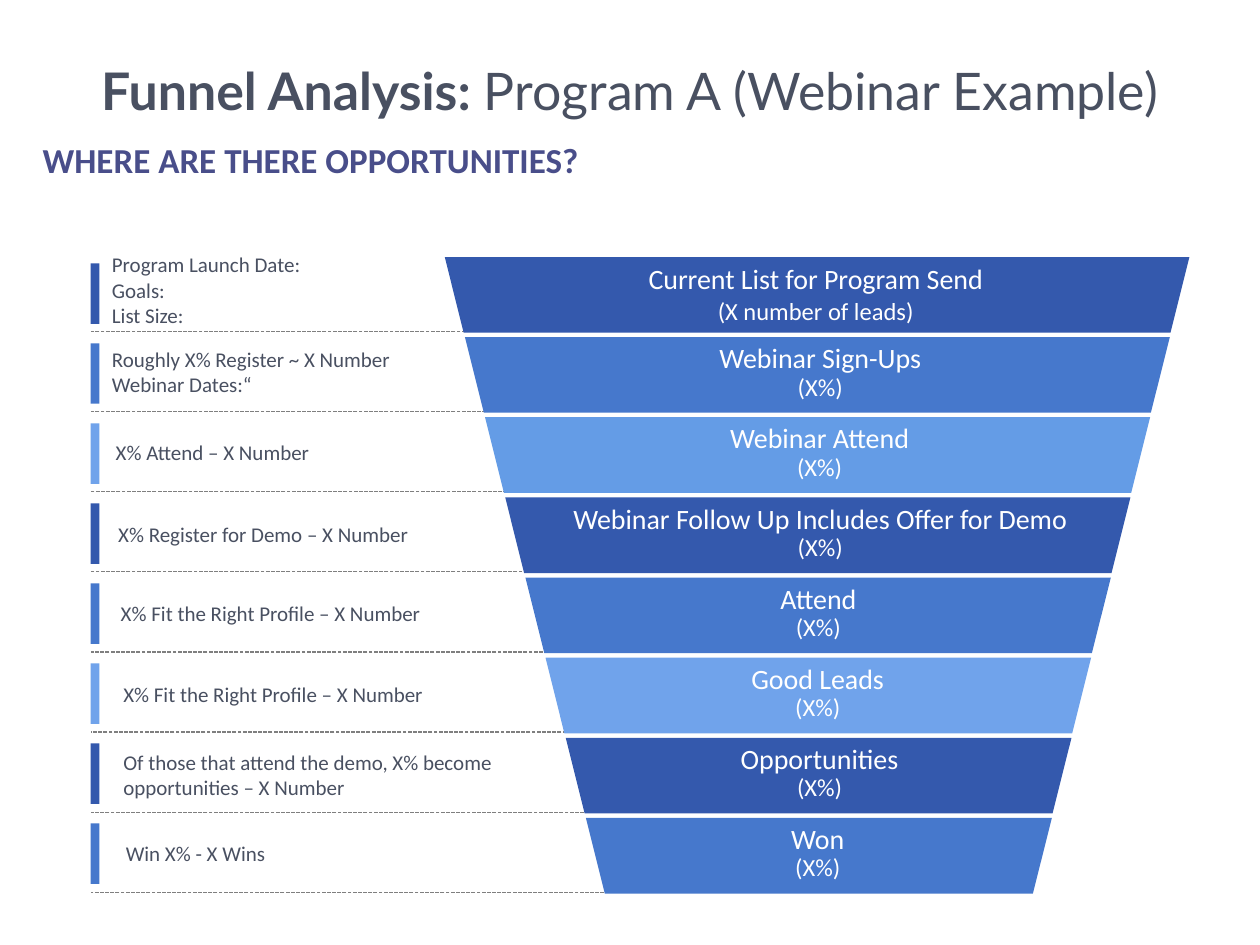
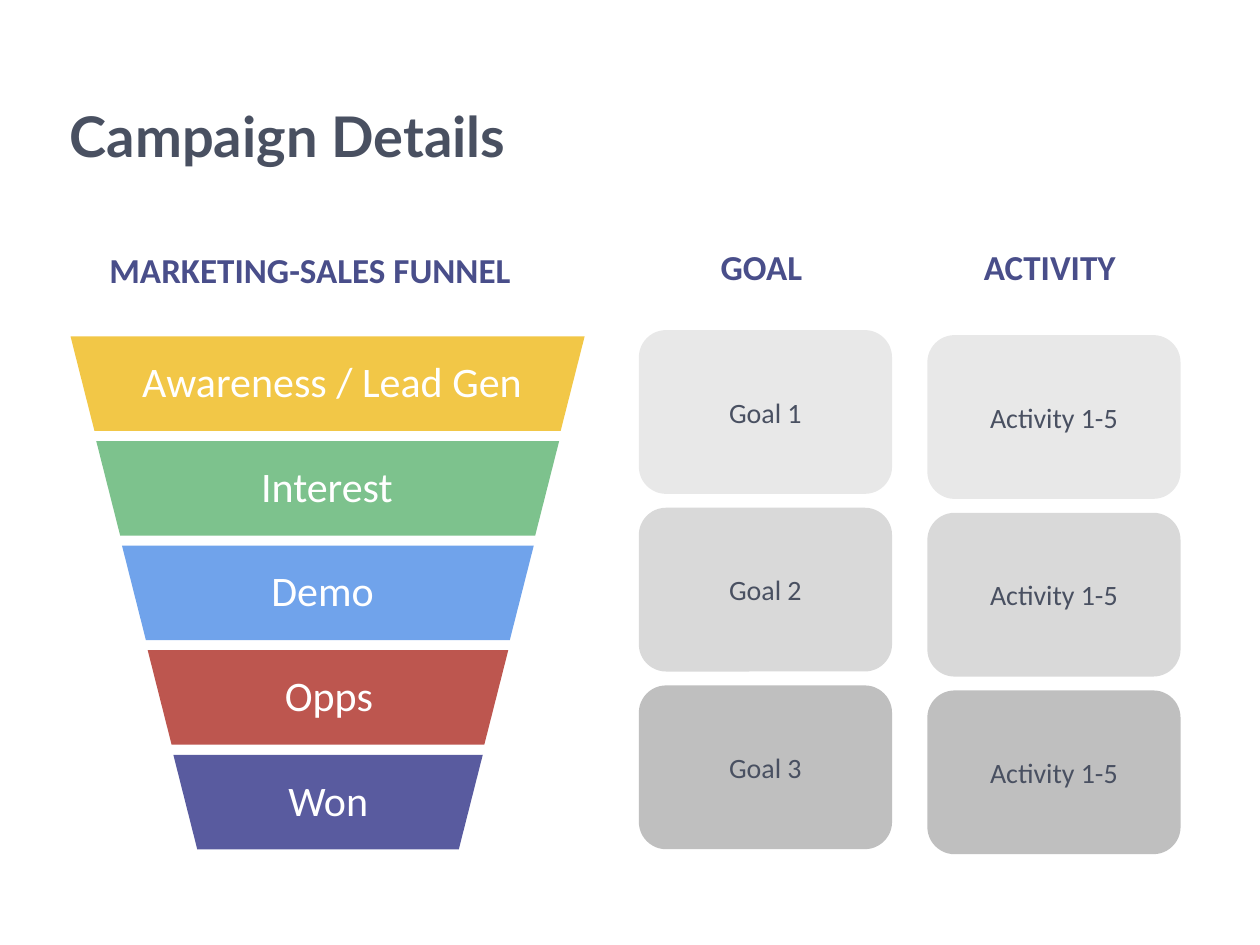
from pptx import Presentation
from pptx.dml.color import RGBColor
from pptx.enum.dml import MSO_LINE
from pptx.enum.shapes import MSO_CONNECTOR, MSO_SHAPE
from pptx.enum.text import MSO_ANCHOR, PP_ALIGN
from pptx.oxml.ns import qn
from pptx.util import Inches, Pt
from lxml import etree

LEFT, MID = PP_ALIGN.LEFT, PP_ALIGN.CENTER
CENTER = MSO_ANCHOR.MIDDLE
RECT, ROUND = MSO_SHAPE.RECTANGLE, MSO_SHAPE.ROUNDED_RECTANGLE
DASH = MSO_LINE.SQUARE_DOT
STRAIGHT = MSO_CONNECTOR.STRAIGHT

HEX = {
    "ink": "495061", "head": "494E8A", "white": "FFFFFF", "rule": "7F7F7F",
    "navy": "3459AD", "blue": "4678CC", "sky": "70A3EB", "azure": "649CE6",
    "gold": "F2C747", "green": "7DC28D", "red": "BD564F", "plum": "595B9F",
    "pale": "E8E8E8", "light": "D9D9D9", "grey": "BFBFBF",
}

# Each style: font values, paragraph values, colour
STYLES = {
    "title": ({"name": "Lato", "size": Pt(29.6), "bold": True},
              {"alignment": MID, "line_spacing": 0.9}, "ink"),
    "name": ({"name": "Lato", "size": Pt(32), "bold": True},
             {"alignment": MID}, "ink"),
    "head": ({"name": "Calibri", "size": Pt(20), "bold": True},
             {"alignment": LEFT, "line_spacing": 0.9}, "head"),
    "first": ({"name": "Calibri", "size": Pt(16)}, {"alignment": MID}, "white"),
    "stage": ({"name": "Calibri", "size": Pt(16)},
              {"alignment": MID, "line_spacing": 0.9}, "white"),
    "step": ({"name": "Calibri", "size": Pt(24)},
             {"alignment": MID, "line_spacing": 0.9}, "white"),
    "note": ({"name": "Calibri", "size": Pt(12)}, {"alignment": LEFT}, "ink"),
    "card": ({"name": "Calibri", "size": Pt(16)}, {"alignment": MID}, "ink"),
}


def write(slide, box, lines, style, shape=None):
    """Put lines into a shape, or into a new text box; return the paragraphs."""
    shape = shape or slide.shapes.add_textbox(*map(Inches, box))
    frame = shape.text_frame
    frame.word_wrap = True
    frame.text = "\n".join(lines)
    font, para, color = STYLES[style]
    for item in frame.paragraphs:
        for key, value in para.items():
            setattr(item, key, value)
        for run in item.runs:
            for key, value in font.items():
                setattr(run.font, key, value)
            run.font.color.rgb = RGBColor.from_string(HEX[color])
    return frame.paragraphs


def draw(slide, box, color, kind=None, lean=0):
    """Add a flat preset shape, or a funnel band when no kind is given."""
    x, y, w, h = map(Inches, box)
    if kind is None:
        slant = Inches(lean)
        pen = slide.shapes.build_freeform(x, y)
        pen.add_line_segments([(x + w, y), (x + w - slant, y + h),
                               (x + slant, y + h)], close=True)
        shape = pen.convert_to_shape()
    else:
        shape = slide.shapes.add_shape(kind, x, y, w, h)
    shape.shadow.inherit = False
    shape.fill.solid()
    shape.fill.fore_color.rgb = RGBColor.from_string(HEX[color])
    shape.line.fill.background()
    return shape


deck = Presentation()
deck.slide_width, deck.slide_height = Inches(10), Inches(7.5)
blank = deck.slide_layouts[6]

# Slide 1: funnel analysis
page = deck.slides.add_slide(blank)
PITCH = 0.636

# Dashed rules, under the funnel
for i, end in enumerate([3.9, 3.9, 4.23, 4.31, 4.43, 4.7, 4.88, 5]):
    y = Inches(2.63 + i * PITCH)
    rule = page.shapes.add_connector(STRAIGHT, Inches(end), y, Inches(0.72), y)
    rule.line.color.rgb = RGBColor.from_string(HEX["rule"])
    rule.line.width = Pt(0.75)
    rule.line.dash_style = DASH
    etree.SubElement(rule._element.spPr, qn("a:effectLst"))

# Titles
title = write(page, (0, 0.47, 10, 0.69), ["Funnel Analysis: "], "title")[0]
tail = title.add_run()
tail.text = "Program A (Webinar Example)"
for key, value in {**STYLES["title"][0], "bold": False}.items():
    setattr(tail.font, key, value)
tail.font.color.rgb = RGBColor.from_string(HEX["ink"])
write(page, (0.24, 1.09, 6.59, 0.49), ["WHERE ARE THERE OPPORTUNITIES?"], "head")

# Funnel bands: label, share, fill, label left and width
stages = [
    ("Current List for Program Send", "(X number of leads)", "navy", 3.69, 5.57),
    ("Webinar Sign-Ups", "(X%)", "blue", 3.85, 5.32),
    ("Webinar Attend", "(X%)", "azure", 4.01, 4.99),
    ("Webinar Follow Up Includes Offer for Demo", "(X%)", "navy", 4.22, 4.58),
    ("Attend", "(X%)", "blue", 4.32, 4.35),
    ("Good Leads", "(X%)", "sky", 4.48, 4.02),
    ("Opportunities", "(X%)", "navy", 4.66, 3.69),
    ("Won", "(X%)", "blue", 4.8, 3.38),
]
for i, (label, share, color, x, w) in enumerate(stages):
    y = 2.04 + i * PITCH
    draw(page, (3.53 + i * 0.16, y, 5.91 - i * 0.316, 0.6), color, lean=0.15)
    style, shift = ("stage", 0.01) if i else ("first", -0.01)
    lines = write(page, (x, y + shift, w, 0.55), [label, share], style)
    lines[1].runs[0].font.size = Pt(14)

# Notes with colour bars: lines, left, top, width, height
notes = [
    (["Program Launch Date:", "Goals:", "List Size:"], 0.79, 1.95, 3.44, 0.7),
    (["Roughly X% Register ~ X Number", "Webinar Dates:“"], 0.79, 2.7, 3.29, 0.5),
    (["X% Attend – X Number"], 0.82, 3.44, 1.8, 0.3),
    (["X% Register for Demo – X Number"], 0.84, 4.09, 2.6, 0.3),
    (["X% Fit the Right Profile – X Number"], 0.86, 4.72, 2.65, 0.3),
    (["X% Fit the Right Profile – X Number"], 0.88, 5.36, 2.65, 0.3),
    (["Of those that attend the demo, X% become opportunities – X Number"],
     0.88, 5.9, 3.88, 0.5),
    (["Win X% - X Wins"], 0.9, 6.62, 4.21, 0.3),
]
tints = ["navy", "blue", "sky"]
for i, (lines, *box) in enumerate(notes):
    write(page, box, lines, "note")
    draw(page, (0.72, 2.09 + i * 0.635, 0.07, 0.48), tints[i % 3], RECT)

# Slide 2: campaign details
page = deck.slides.add_slide(blank)
write(page, (0, 0.76, 4.57, 0.69), ["Campaign Details"], "name")
heads = [
    ("MARKETING-SALES FUNNEL", 0.77, 1.96, 3.77),
    ("GOAL", 5.62, 1.94, 0.89),
    ("ACTIVITY", 7.71, 1.94, 1.31),
]
for text, x, y, w in heads:
    write(page, (x, y, w, 0.49), [text], "head")

# Funnel bands: label, fill, label left and width
steps = [
    ("Awareness / Lead Gen", "gold", 0.8, 3.67),
    ("Interest", "green", 0.98, 3.23),
    ("Demo", "sky", 1.1, 2.92),
    ("Opps", "red", 1.32, 2.58),
    ("Won", "plum", 1.56, 2.09),
]
for i, (label, color, x, w) in enumerate(steps):
    y = 2.67 + i * 0.83
    draw(page, (0.56 + i * 0.204, y, 4.08 - i * 0.406, 0.75), color, lean=0.19)
    write(page, (x, y + 0.15, w, 0.46), [label], "step")

# Goal and activity cards
columns = [
    (5.07, 2.62, ["Goal 1", "Goal 2", "Goal 3"]),
    (7.36, 2.66, ["Activity 1-5"] * 3),
]
for x, top, labels in columns:
    for i, (label, color) in enumerate(zip(labels, ["pale", "light", "grey"])):
        box = (x, top + i * 1.41, 2.01, 1.3)
        card = draw(page, box, color, ROUND)
        card.text_frame.vertical_anchor = CENTER
        write(page, box, [label], "card", card)

deck.save("out.pptx")
